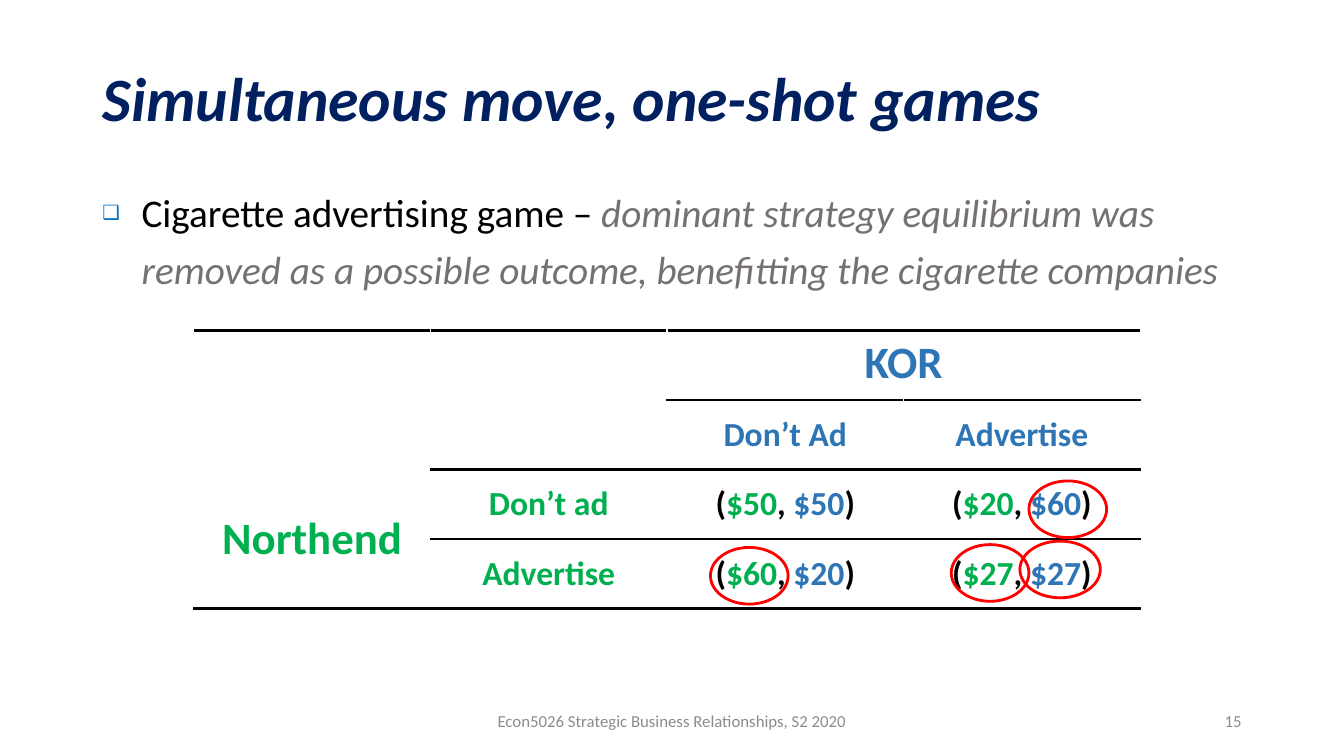
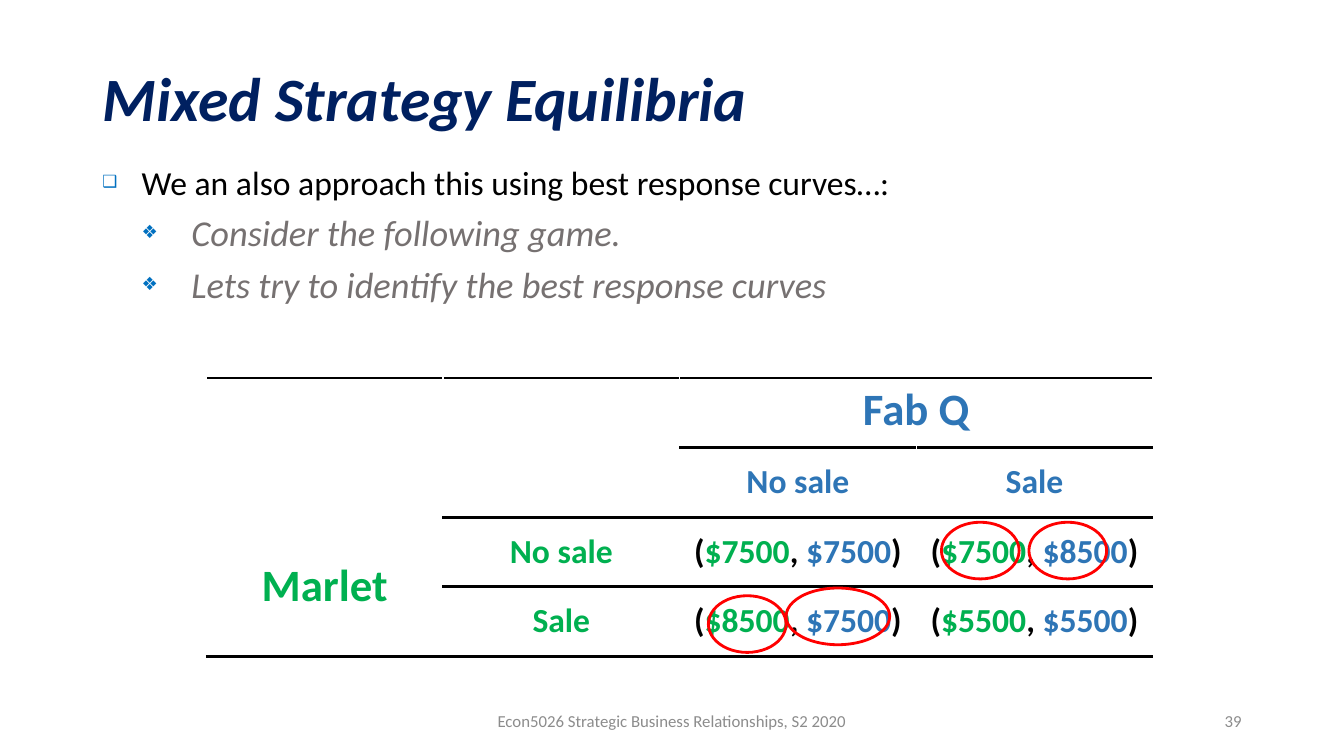
from dataclasses import dataclass

from lxml.etree import SubElement
from pptx import Presentation
from pptx.dml.color import RGBColor
from pptx.enum.shapes import MSO_SHAPE as Preset
from pptx.enum.text import MSO_ANCHOR as Anchor, MSO_AUTO_SIZE as AutoSize, PP_ALIGN as Align
from pptx.oxml.ns import qn
from pptx.util import Pt


@dataclass(frozen=True)
class Theme:
    font: str = "Calibri"
    navy: str = "002060"
    black: str = "000000"
    white: str = "FFFFFF"
    gray: str = "767171"
    footer: str = "8C8C8C"
    bullet: str = "0070C0"
    column_player: str = "2E75B6"
    row_player: str = "00B050"
    ring: str = "FF0000"
    title_size: int = 44
    player_size: int = 32
    cell_size: int = 24
    footer_size: int = 12
    rule: float = 2.25
    hairline: float = 1
    ring_line: float = 2


THEME = Theme()
COURSE = "Econ5026 Strategic Business Relationships, S2 2020"
COLUMN_WIDTH, ROW_HEIGHT = 169, 49.7
RING_WIDTH, RING_HEIGHT = 55.5, 40.5
RULE_START_COLUMNS = (0, 2, 1, 1, 0)


def place(shape, left, top, width, height):
    shape.left, shape.top = Pt(left), Pt(top)
    shape.width, shape.height = Pt(width), Pt(height)


def style_run(run, size, color, bold=False, italic=False):
    font = run.font
    font.name, font.size = THEME.font, Pt(size)
    font.bold, font.italic = bold, italic
    font.color.rgb = RGBColor.from_string(color)


def add_title(page, text):
    title = page.shapes.title
    place(title, 66, 29, 828, 87)
    frame = title.text_frame
    frame.text = text
    frame.auto_size = AutoSize.NONE
    frame.vertical_anchor = Anchor.MIDDLE
    para = frame.paragraphs[0]
    para.alignment, para.line_spacing = Align.LEFT, 0.9
    style_run(para.runs[0], THEME.title_size, THEME.navy, bold=True, italic=True)


def set_bullet(para, mark, margin, hanging):
    props = para._p.get_or_add_pPr()
    props.set("marL", str(Pt(margin)))
    props.set("indent", str(-Pt(hanging)))
    color = SubElement(props, qn("a:buClr"))
    SubElement(color, qn("a:srgbClr"), val=THEME.bullet)
    SubElement(props, qn("a:buSzPct"), val="50000")
    SubElement(props, qn("a:buChar"), char=mark)


def add_list(page, top, items):
    body = page.placeholders[1]
    place(body, 66, top, 828, 486 - top)
    frame = body.text_frame
    frame.auto_size = AutoSize.NONE
    for index, (level, size, spans) in enumerate(items):
        para = frame.add_paragraph() if index else frame.paragraphs[0]
        para.level = level
        if level:
            set_bullet(para, "❖", 63.5, 35.5)
        else:
            set_bullet(para, "❑", 28, 28)
        para.line_spacing = 1.0 if level else 1.2
        para.space_before, para.space_after = Pt(6 if index else 0), Pt(0)
        for text, color, italic in spans:
            run = para.add_run()
            run.text = text
            style_run(run, size, color, italic=italic)


def add_footer_text(page, left, width, text, alignment):
    box = page.shapes.add_textbox(Pt(left), Pt(500), Pt(width), Pt(29))
    frame = box.text_frame
    frame.word_wrap = True
    frame.vertical_anchor = Anchor.MIDDLE
    frame.text = text
    para = frame.paragraphs[0]
    para.alignment = alignment
    style_run(para.runs[0], THEME.footer_size, THEME.footer)


def set_borders(cell, row, column):
    bottom = row + (cell.span_height if cell.is_merge_origin else 1)
    ruled = {
        "a:lnL": False,
        "a:lnR": False,
        "a:lnT": column >= RULE_START_COLUMNS[row],
        "a:lnB": column >= RULE_START_COLUMNS[bottom],
    }
    props = cell._tc.get_or_add_tcPr()
    for position, (tag, dark) in enumerate(ruled.items()):
        width = Pt(THEME.rule if dark else THEME.hairline)
        line = props.makeelement(qn(tag), {"w": str(width)})
        fill = SubElement(line, qn("a:solidFill"))
        SubElement(fill, qn("a:srgbClr"), val=THEME.black if dark else THEME.white)
        props.insert(position, line)


def fill_cell(cell, spans, size=THEME.cell_size, anchor=Anchor.MIDDLE):
    cell.vertical_anchor = anchor
    para = cell.text_frame.paragraphs[0]
    para.alignment = Align.CENTER
    for text, color in spans:
        run = para.add_run()
        run.text = text
        style_run(run, size, color, bold=True)


def payoff_spans(row_payoff, column_payoff):
    return [
        ("(", THEME.black),
        (row_payoff, THEME.row_player),
        (", ", THEME.black),
        (column_payoff, THEME.column_player),
        (")", THEME.black),
    ]


def add_game(page, left, top, players, column_moves, row_moves, payoffs):
    frame = page.shapes.add_table(
        4, 4, Pt(left), Pt(top), Pt(4 * COLUMN_WIDTH), Pt(4 * ROW_HEIGHT))
    table = frame.table
    table.first_row = table.horz_banding = False
    for column in table.columns:
        column.width = Pt(COLUMN_WIDTH)
    for row in table.rows:
        row.height = Pt(ROW_HEIGHT)
    table.cell(0, 2).merge(table.cell(0, 3))
    table.cell(2, 0).merge(table.cell(3, 0))
    for row in range(4):
        for column in range(4):
            cell = table.cell(row, column)
            cell.fill.background()
            set_borders(cell, row, column)

    row_player, column_player = players
    fill_cell(table.cell(0, 2), [(column_player, THEME.column_player)],
              THEME.player_size, Anchor.TOP)
    fill_cell(table.cell(2, 0), [(row_player, THEME.row_player)], THEME.player_size)
    for index in range(2):
        fill_cell(table.cell(1, index + 2), [(column_moves[index], THEME.column_player)])
        fill_cell(table.cell(index + 2, 1), [(row_moves[index], THEME.row_player)])
        for column, pair in enumerate(payoffs[index], start=2):
            fill_cell(table.cell(index + 2, column), payoff_spans(*pair))


def add_ring(page, left, top, width=RING_WIDTH):
    ring = page.shapes.add_shape(
        Preset.OVAL, Pt(left), Pt(top), Pt(width), Pt(RING_HEIGHT))
    ring.shadow.inherit = False
    ring.fill.background()
    ring.line.color.rgb = RGBColor.from_string(THEME.ring)
    ring.line.width = Pt(THEME.ring_line)


def add_page(deck, title, number, list_top, items, game, rings):
    page = deck.slides.add_slide(deck.slide_layouts[1])
    add_title(page, title)
    add_list(page, list_top, items)
    add_footer_text(page, 318, 324, COURSE, Align.CENTER)
    add_footer_text(page, 678, 216, number, Align.RIGHT)
    add_game(page, **game)
    for ring in rings:
        add_ring(page, *ring)


def main():
    deck = Presentation()
    deck.slide_width, deck.slide_height = Pt(960), Pt(540)
    add_page(
        deck, "Simultaneous move, one-shot games", "15", 124.5,
        items=[(0, 28, [
            ("Cigarette advertising game – ", THEME.black, False),
            ("dominant strategy equilibrium was removed as a possible outcome, "
             "benefitting the cigarette companies", THEME.gray, True),
        ])],
        game=dict(
            left=138.5, top=236, players=("Northend", "KOR"),
            column_moves=("Don’t Ad", "Advertise"),
            row_moves=("Don’t ad", "Advertise"),
            payoffs=[[("$50", "$50"), ("$20", "$60")],
                     [("$60", "$20"), ("$27", "$27")]],
        ),
        rings=[(735, 343.5), (728.5, 386.5, 57.5), (679.5, 389), (507.5, 391)],
    )
    add_page(
        deck, "Mixed Strategy Equilibria", "39", 106,
        items=[
            (0, 24, [("We an also approach this using best response curves…:",
                      THEME.black, False)]),
            (1, 26, [("Consider the following game.", THEME.gray, True)]),
            (1, 26, [("Lets try to identify the best response curves",
                      THEME.gray, True)]),
        ],
        game=dict(
            left=147.5, top=270, players=("Marlet", "Fab Q"),
            column_moves=("No sale", "Sale"),
            row_moves=("No sale", "Sale"),
            payoffs=[[("$7500", "$7500"), ("$7500", "$8500")],
                     [("$8500", "$7500"), ("$5500", "$5500")]],
        ),
        rings=[(735, 373), (561.5, 420, 74), (672.5, 373), (506, 425.5)],
    )
    deck.save("out.pptx")


if __name__ == "__main__":
    main()
